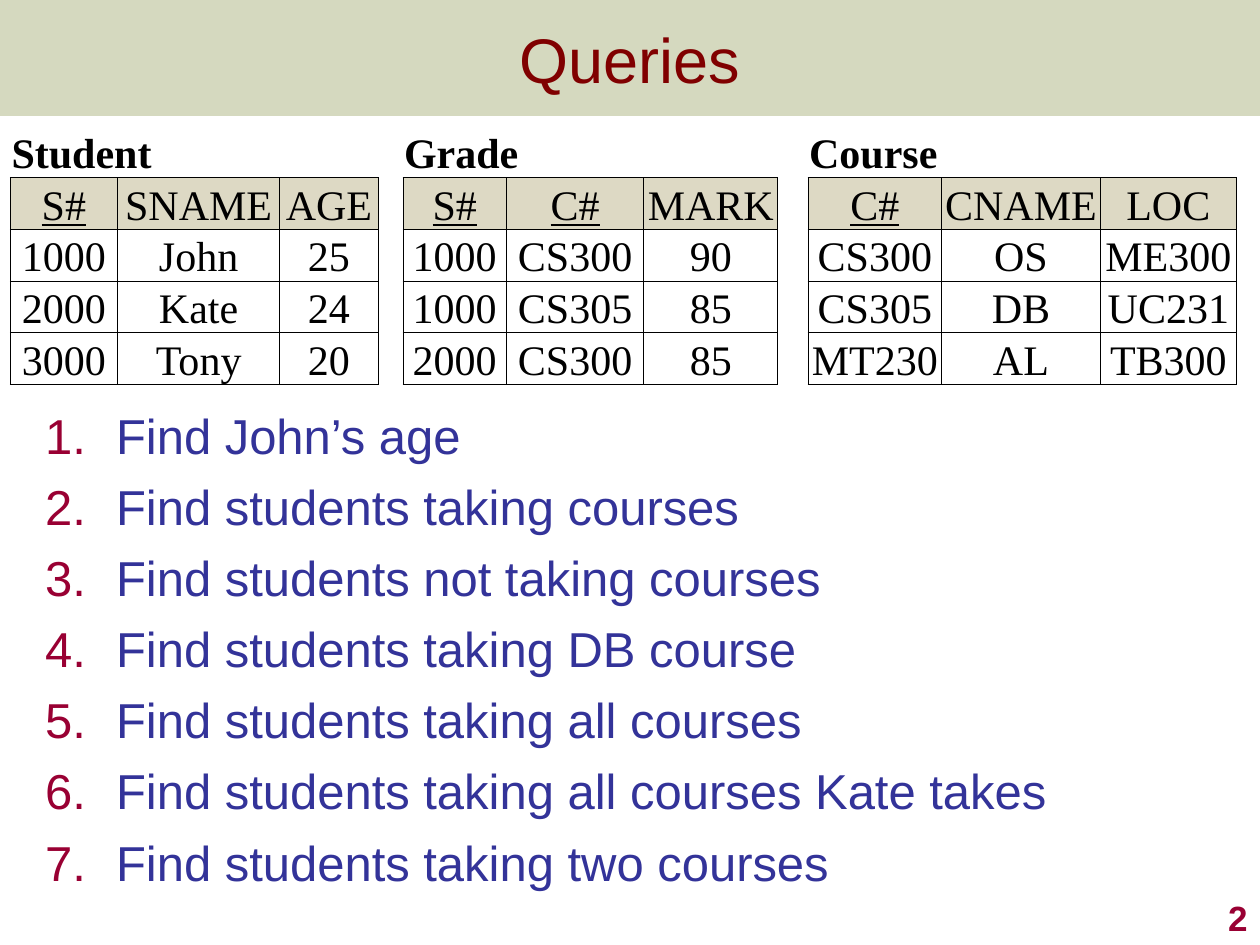
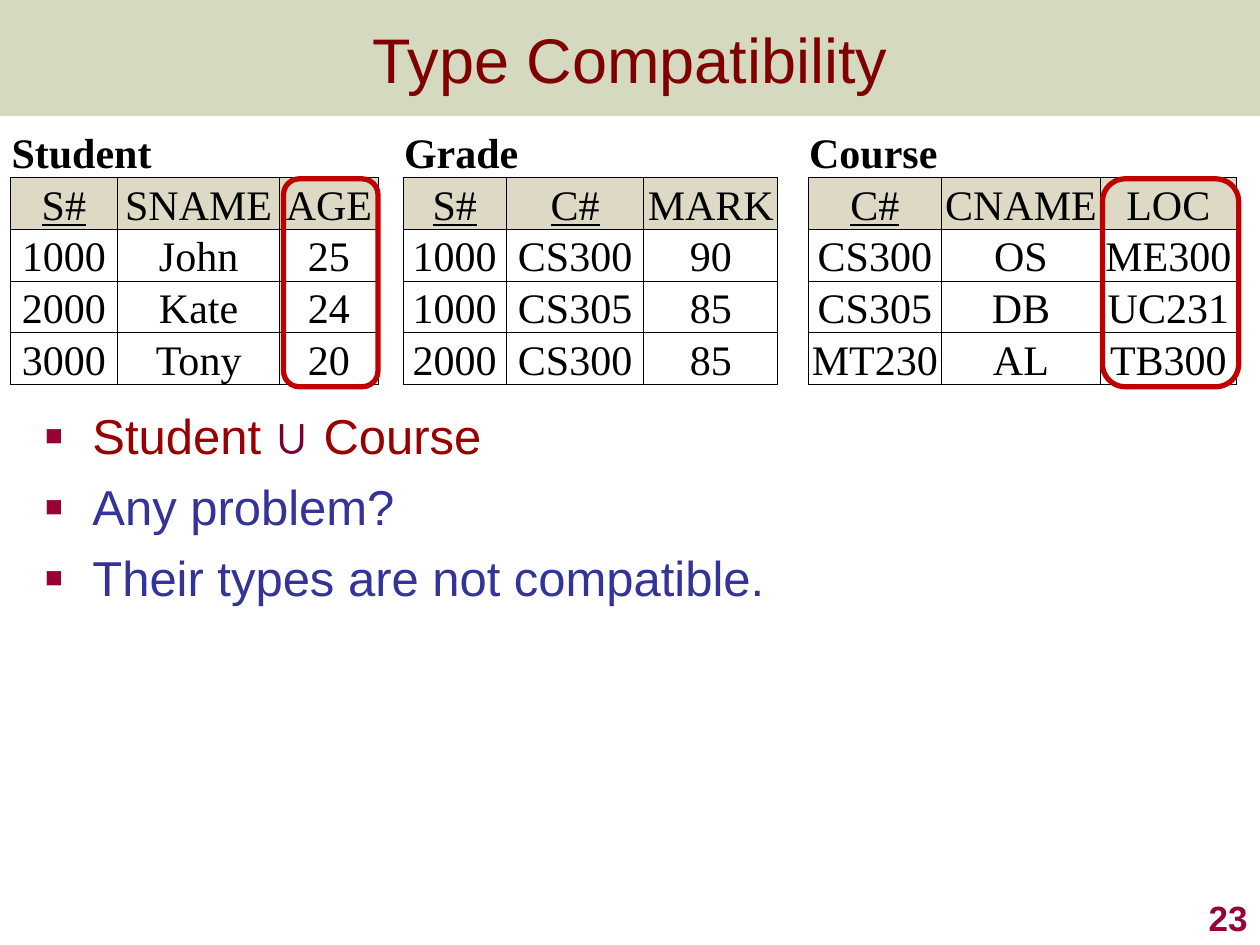
from lxml import etree
from pptx import Presentation
from pptx.dml.color import RGBColor
from pptx.enum.shapes import MSO_SHAPE
from pptx.enum.text import MSO_ANCHOR, PP_ALIGN
from pptx.oxml.ns import qn
from pptx.util import Pt

RECTANGLE, ROUNDED = MSO_SHAPE.RECTANGLE, MSO_SHAPE.ROUNDED_RECTANGLE
LEFT, CENTER, RIGHT = PP_ALIGN.LEFT, PP_ALIGN.CENTER, PP_ALIGN.RIGHT
MIDDLE, BOTTOM = MSO_ANCHOR.MIDDLE, MSO_ANCHOR.BOTTOM

# Shared colours and sizes
OLIVE, MAROON, CRIMSON, NAVY = "76822E", "800000", "990033", "333399"
DARK_RED, PLUM, RED = "990000", "790033", "C00000"
BLACK, WHITE, BEIGE = "000000", "FFFFFF", "DDD9C4"
WIDTH, HEIGHT, BAND_HEIGHT = 720, 540, 66.24
ROW_HEIGHT = 27.43
COLUMN_WIDTHS = [61.2, 92.8, 56.2, 14.2, 59.2, 78.5, 76.5, 17.3, 76.5, 90.5, 78]

# Relations: name, first column, key columns, rows
RELATIONS = [
    ("Student", 0, {"S#"}, [("S#", "SNAME", "AGE"), ("1000", "John", "25"),
                            ("2000", "Kate", "24"), ("3000", "Tony", "20")]),
    ("Grade", 4, {"S#", "C#"}, [("S#", "C#", "MARK"), ("1000", "CS300", "90"),
                                ("1000", "CS305", "85"), ("2000", "CS300", "85")]),
    ("Course", 8, {"C#"}, [("C#", "CNAME", "LOC"), ("CS300", "OS", "ME300"),
                           ("CS305", "DB", "UC231"), ("MT230", "AL", "TB300")]),
]

# Slides: title, number, numbered list or not, points as (text, colour, bold) runs, highlights
QUERIES = [
    "Find John’s age",
    "Find students taking courses",
    "Find students not taking courses",
    "Find students taking DB course",
    "Find students taking all courses",
    "Find students taking all courses Kate takes",
    "Find students taking two courses",
]
UNION = [
    [("Student ", DARK_RED, False), ("∪", PLUM, True), (" Course", DARK_RED, False)],
    [("Any problem?", NAVY, False)],
    [("Their types are not compatible.", NAVY, False)],
]
SLIDES = [
    ("Queries", "2", True, [[(query, NAVY, False)] for query in QUERIES], []),
    ("Type Compatibility", "23", False, UNION, [(162, 54), (630, 77.8)]),
]


def paint(fill, colour):
    fill.solid()
    fill.fore_color.rgb = RGBColor.from_string(colour)


def write(paragraph, text, size=28, font="Arial", colour=BLACK, bold=False,
          underline=False, align=LEFT):
    paragraph.alignment = align
    run = paragraph.add_run()
    run.text = text
    run.font.size, run.font.name = Pt(size), font
    run.font.bold, run.font.underline = bold, underline
    paint(run.font.fill, colour)


deck = Presentation()
deck.slide_width, deck.slide_height = Pt(WIDTH), Pt(HEIGHT)

for heading, number, numbered, points, highlights in SLIDES:
    slide = deck.slides.add_slide(deck.slide_layouts[5])

    # Title band, behind everything
    band = slide.shapes.add_shape(RECTANGLE, 0, 0, Pt(WIDTH), Pt(BAND_HEIGHT))
    band.shadow.inherit = False
    band.line.fill.background()
    paint(band.fill, OLIVE)
    band_colour = band.fill._xPr.find(".//" + qn("a:srgbClr"))
    etree.SubElement(band_colour, qn("a:alpha"), val="30000")
    slide.shapes._spTree.insert(2, band._element)

    # Title
    title = slide.shapes.title
    title.left, title.top, title.width, title.height = 0, 0, Pt(WIDTH), Pt(BAND_HEIGHT)
    title.text_frame.vertical_anchor = MIDDLE
    write(title.text_frame.paragraphs[0], heading, size=36, colour=MAROON, align=CENTER)

    # Slide number
    footer = slide.shapes.add_textbox(Pt(570), Pt(504), Pt(150), Pt(36)).text_frame
    footer.word_wrap = True
    footer.vertical_anchor = BOTTOM
    write(footer.paragraphs[0], number, size=20, colour=CRIMSON, bold=True, align=RIGHT)

    # Numbered or bulleted points
    body = slide.shapes.add_textbox(Pt(18.7), Pt(228.2), Pt(683.3),
                                    Pt(276 if numbered else 210)).text_frame
    body.word_wrap = True
    body.margin_right = 0
    indent = Pt(40.5 if numbered else 27)
    for index, runs in enumerate(points):
        point = body.add_paragraph() if index else body.paragraphs[0]
        props = point._p.get_or_add_pPr()
        props.set("marL", str(indent))
        props.set("indent", str(-indent))
        bullet_colour = etree.SubElement(props, qn("a:buClr"))
        etree.SubElement(bullet_colour, qn("a:srgbClr"), val=CRIMSON)
        if numbered:
            etree.SubElement(props, qn("a:buFont"), typeface="+mj-lt")
            etree.SubElement(props, qn("a:buAutoNum"), type="arabicPeriod")
        else:
            etree.SubElement(props, qn("a:buSzPct"), val="60000")
            etree.SubElement(props, qn("a:buFont"), typeface="Arial")
            etree.SubElement(props, qn("a:buChar"), char="■")
        if index:
            point.space_before = Pt(7)
        for text, colour, bold in runs:
            write(point, text, colour=colour, bold=bold)

    # Table holding the three relations side by side
    relations = slide.shapes.add_table(5, len(COLUMN_WIDTHS), Pt(5.9), Pt(72),
                                       Pt(sum(COLUMN_WIDTHS)), Pt(5 * ROW_HEIGHT)).table
    relations.first_row = relations.horz_banding = False
    for column, width in zip(relations.columns, COLUMN_WIDTHS):
        column.width = Pt(width)
    gaps = {first - 1 for _, first, _, _ in RELATIONS}
    for r, row in enumerate(relations.rows):
        row.height = Pt(ROW_HEIGHT)
        for c, cell in enumerate(row.cells):
            cell.margin_left = cell.margin_right = cell.margin_top = Pt(0.7)
            cell.margin_bottom = 0
            cell.vertical_anchor = BOTTOM
            if c in gaps:
                ruled = "LR" if r else ""
            else:
                ruled = "LRTB" if r else "B"
            for side in "LRTB":
                border = etree.SubElement(cell._tc.get_or_add_tcPr(), qn("a:ln" + side),
                                          w=str(Pt(0.5)))
                if side in ruled:
                    border_fill = etree.SubElement(border, qn("a:solidFill"))
                    etree.SubElement(border_fill, qn("a:srgbClr"), val=BLACK)
                else:
                    etree.SubElement(border, qn("a:noFill"))
            paint(cell.fill, BEIGE if r == 1 and c not in gaps else WHITE)

    for name, first, keys, rows in RELATIONS:
        caption = relations.cell(0, first)
        caption.merge(relations.cell(0, first + 2))
        write(caption.text_frame.paragraphs[0], name, size=24, font="Times New Roman", bold=True)
        for r, values in enumerate(rows, start=1):
            for c, value in enumerate(values, start=first):
                write(relations.cell(r, c).text_frame.paragraphs[0], value, size=24,
                      font="Times New Roman", underline=value in keys, align=CENTER)

    # Frames around the incompatible columns
    for left, width in highlights:
        frame = slide.shapes.add_shape(ROUNDED, Pt(left), Pt(102.2), Pt(width), Pt(118.8))
        frame.shadow.inherit = False
        frame.fill.background()
        paint(frame.line.fill, RED)
        frame.line.width = Pt(3)

deck.save("out.pptx")
